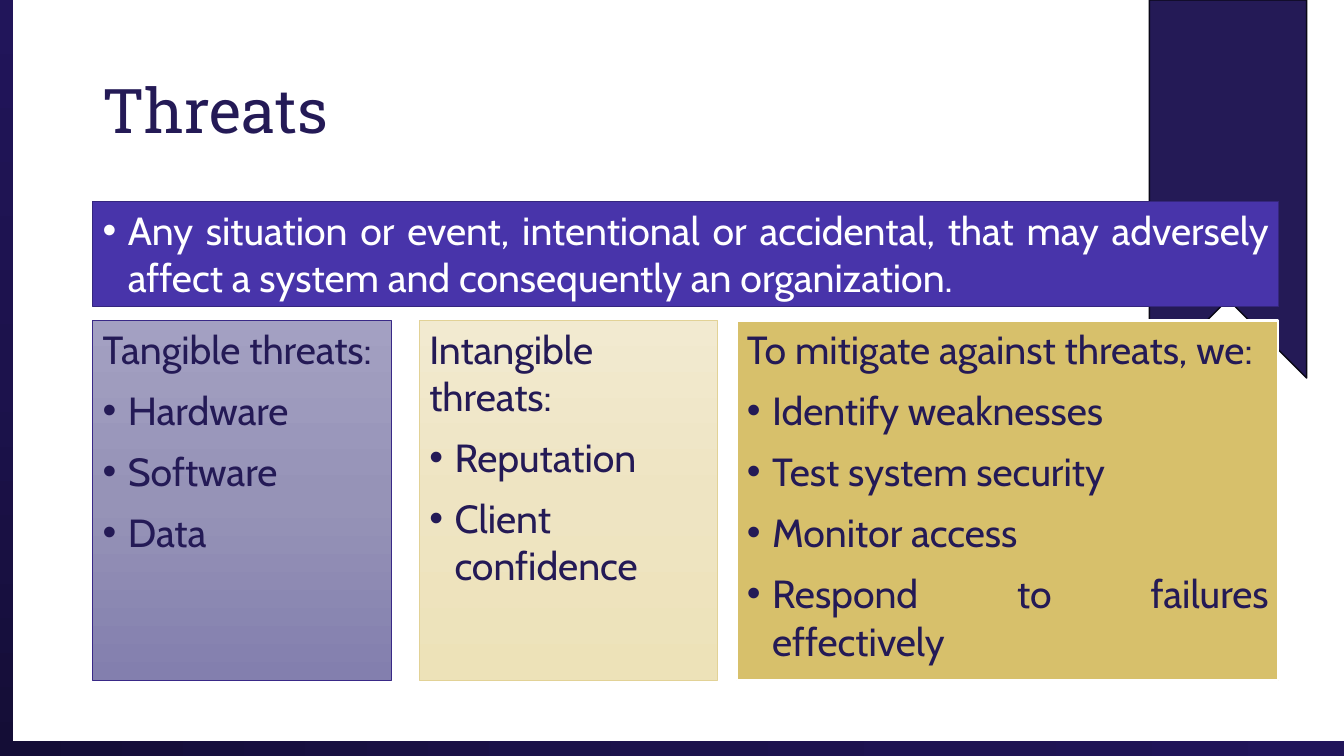
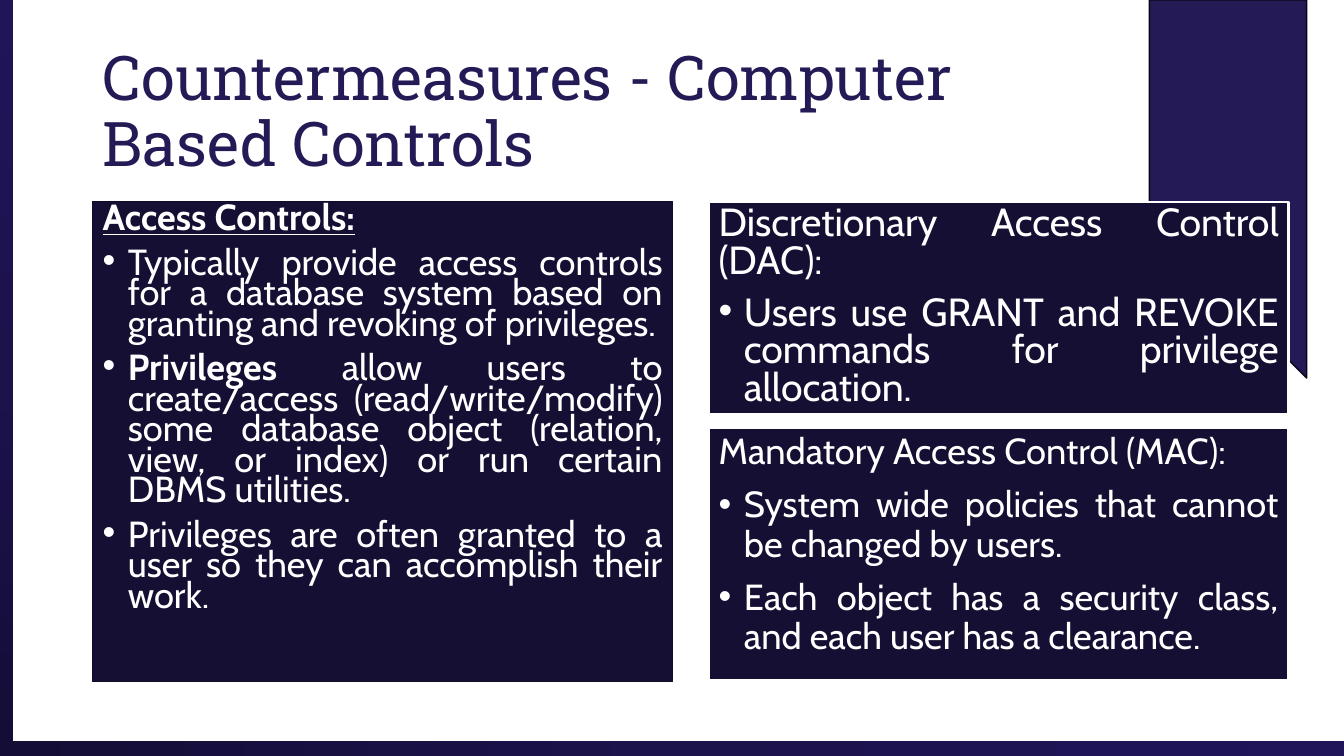
from lxml import etree
from pptx import Presentation
from pptx.dml.color import RGBColor
from pptx.enum.shapes import MSO_SHAPE
from pptx.enum.text import MSO_ANCHOR, PP_ALIGN
from pptx.oxml.ns import qn
from pptx.util import Pt

PX = 9144  # 100 px to the inch
SLIDE_W, SLIDE_H = 1333, 750
RECTANGLE = MSO_SHAPE.RECTANGLE
LEFT, JUSTIFY = PP_ALIGN.LEFT, PP_ALIGN.JUSTIFY
TOP, MIDDLE = MSO_ANCHOR.TOP, MSO_ANCHOR.MIDDLE

TITLE_FONT, BODY_FONT = "Roboto Slab", "Cabin"
INK, WHITE, NIGHT = "241A56", "FFFFFF", "150F33"
BAND = ["140D36", "1C124C", "21155A"]
LILAC = ["A3A0C2", "9693B7", "837FAE"]
CREAM = ["F2EAD0", "EEE4C2", "EDE2B8"]
INDENT = 25

MARGIN = 92
TITLE_AREA = (MARGIN, 40, 1042, 145)
RIBBON = [(1140, 0), (1296, 0), (1296, 375), (1218, 297), (1140, 375)]

# A panel holds an optional heading and bullets; a bullet is text or (bold part, rest).
SLIDES = [
    {
        "title": "Threats",
        "panels": [
            {"area": (MARGIN, 200, 1176, 104), "fill": "4834AA", "line": ("35267E", 1),
             "color": WHITE,
             "bullets": ["Any situation or event, intentional or accidental, that may "
                         "adversely affect a system and consequently an organization."]},
            {"area": (MARGIN, 318, 296, 357), "fill": LILAC, "line": ("392987", 0.5),
             "color": INK, "heading": "Tangible threats:",
             "bullets": ["Hardware", "Software", "Data"]},
            {"area": (416, 318, 296, 357), "fill": CREAM, "line": ("E2D296", 0.5),
             "color": INK, "heading": "Intangible threats:",
             "bullets": ["Reputation", "Client confidence"]},
            {"area": (731, 318, 537, 357), "fill": "D7C06B", "line": (WHITE, 1.5),
             "color": INK, "heading": "To mitigate against threats, we:",
             "bullets": ["Identify weaknesses", "Test system security", "Monitor access",
                         "Respond to failures effectively"]},
        ],
    },
    {
        "title": "Countermeasures - Computer Based Controls",
        "panels": [
            {"area": (MARGIN, 200, 575, 476), "fill": NIGHT, "line": ("100B26", 1),
             "color": WHITE, "size": 25.9, "spacing": 0.7,
             "heading": "Access Controls:", "strong_heading": True,
             "bullets": ["Typically provide access controls for a database system based on "
                         "granting and revoking of privileges.",
                         ("Privileges ", "allow users to create/access (read/write/modify) "
                          "some database object (relation, view, or index) or run certain "
                          "DBMS utilities."),
                         "Privileges are often granted to a user so they can accomplish "
                         "their work."]},
            {"area": (703, 200, 575, 211), "fill": NIGHT, "line": (WHITE, 1.5),
             "color": WHITE, "spacing": 0.8,
             "heading": "Discretionary Access Control (DAC):",
             "bullets": ["Users use GRANT and REVOKE commands for privilege allocation."]},
            {"area": (703, 425, 575, 250), "fill": NIGHT, "line": (WHITE, 1.5),
             "color": WHITE, "size": 25.9, "spacing": 0.9,
             "heading": "Mandatory Access Control (MAC):",
             "bullets": ["System wide policies that cannot be changed by users.",
                         "Each object has a security class, and each user has a clearance."]},
        ],
    },
]


def rgb(value):
    return RGBColor.from_string(value)


def px(*values):
    return [value * PX for value in values]


def set_gradient(shape, colors, angle):
    """Spread the colours evenly along a linear gradient, angle in degrees clockwise."""
    shape.fill.gradient()
    gradient = shape._element.spPr.find(qn("a:gradFill"))
    for child in list(gradient):
        gradient.remove(child)
    stops = etree.SubElement(gradient, qn("a:gsLst"))
    for index, color in enumerate(colors):
        position = 100000 * index // (len(colors) - 1)
        stop = etree.SubElement(stops, qn("a:gs"), pos=str(position))
        etree.SubElement(stop, qn("a:srgbClr"), val=color)
    etree.SubElement(gradient, qn("a:lin"), ang=str(angle * 60000), scaled="0")


def paint(shape, fill, line=None, angle=90):
    """Fill with one colour or a list of gradient colours; line is (colour, points)."""
    shape.shadow.inherit = False
    if isinstance(fill, list):
        set_gradient(shape, fill, angle)
    else:
        shape.fill.solid()
        shape.fill.fore_color.rgb = rgb(fill)
    if line:
        color, width = line
        shape.line.color.rgb = rgb(color)
        shape.line.width = Pt(width)
    else:
        shape.line.fill.background()


def add_rectangle(page, area, fill, line=None, angle=90):
    box = page.shapes.add_shape(RECTANGLE, *px(*area))
    paint(box, fill, line, angle)
    return box


def set_bullet(para):
    properties = para._p.get_or_add_pPr()
    properties.set("marL", str(INDENT * PX))
    properties.set("indent", str(-INDENT * PX))
    etree.SubElement(properties, qn("a:buFont"), typeface="Arial")
    etree.SubElement(properties, qn("a:buChar"), char="•")


def write(para, text, *, size=28, color=INK, font=BODY_FONT, align=JUSTIFY, spacing=1.0,
          before=10, bullet=False, bold=False, underline=False):
    """Write text, or a (bold part, rest) pair, into a paragraph."""
    para.alignment = align
    para.line_spacing = spacing
    para.space_before = Pt(before)
    if bullet:
        set_bullet(para)
    spans = [(text, bold)] if isinstance(text, str) else zip(text, (True, False))
    for words, strong in spans:
        span = para.add_run()
        span.text = words
        span.font.name = font
        span.font.size = Pt(size)
        span.font.color.rgb = rgb(color)
        span.font.bold = strong
        span.font.underline = underline


def add_frame(page):
    """Draw the ribbon and the two edge bands every slide carries."""
    builder = page.shapes.build_freeform(*RIBBON[0], scale=PX)
    builder.add_line_segments(RIBBON[1:], close=True)
    paint(builder.convert_to_shape(), INK, ("090716", 1))
    add_rectangle(page, (0, 735, SLIDE_W, 15), BAND, angle=0)
    add_rectangle(page, (0, 0, 13, SLIDE_H), BAND[::-1])


def add_title(page, text):
    frame = page.shapes.add_textbox(*px(*TITLE_AREA)).text_frame
    frame.word_wrap = True
    frame.vertical_anchor = MIDDLE
    write(frame.paragraphs[0], text, size=44, font=TITLE_FONT, align=LEFT,
          spacing=0.9, before=0)


def add_panel(page, panel):
    frame = add_rectangle(page, panel["area"], panel["fill"], panel["line"]).text_frame
    frame.word_wrap = True
    frame.vertical_anchor = TOP
    style = {"size": panel.get("size", 28), "color": panel["color"],
             "spacing": panel.get("spacing", 1.0)}
    strong = panel.get("strong_heading", False)
    rows = [(bullet, {"bullet": True}) for bullet in panel["bullets"]]
    if "heading" in panel:
        rows.insert(0, (panel["heading"], {"bold": strong, "underline": strong}))
    for index, (text, extra) in enumerate(rows):
        para = frame.add_paragraph() if index else frame.paragraphs[0]
        write(para, text, **style, **extra)


def main():
    deck = Presentation()
    deck.slide_width, deck.slide_height = px(SLIDE_W, SLIDE_H)
    blank = deck.slide_layouts[6]
    for content in SLIDES:
        page = deck.slides.add_slide(blank)
        add_frame(page)
        add_title(page, content["title"])
        for panel in content["panels"]:
            add_panel(page, panel)
    deck.save("out.pptx")


if __name__ == "__main__":
    main()
